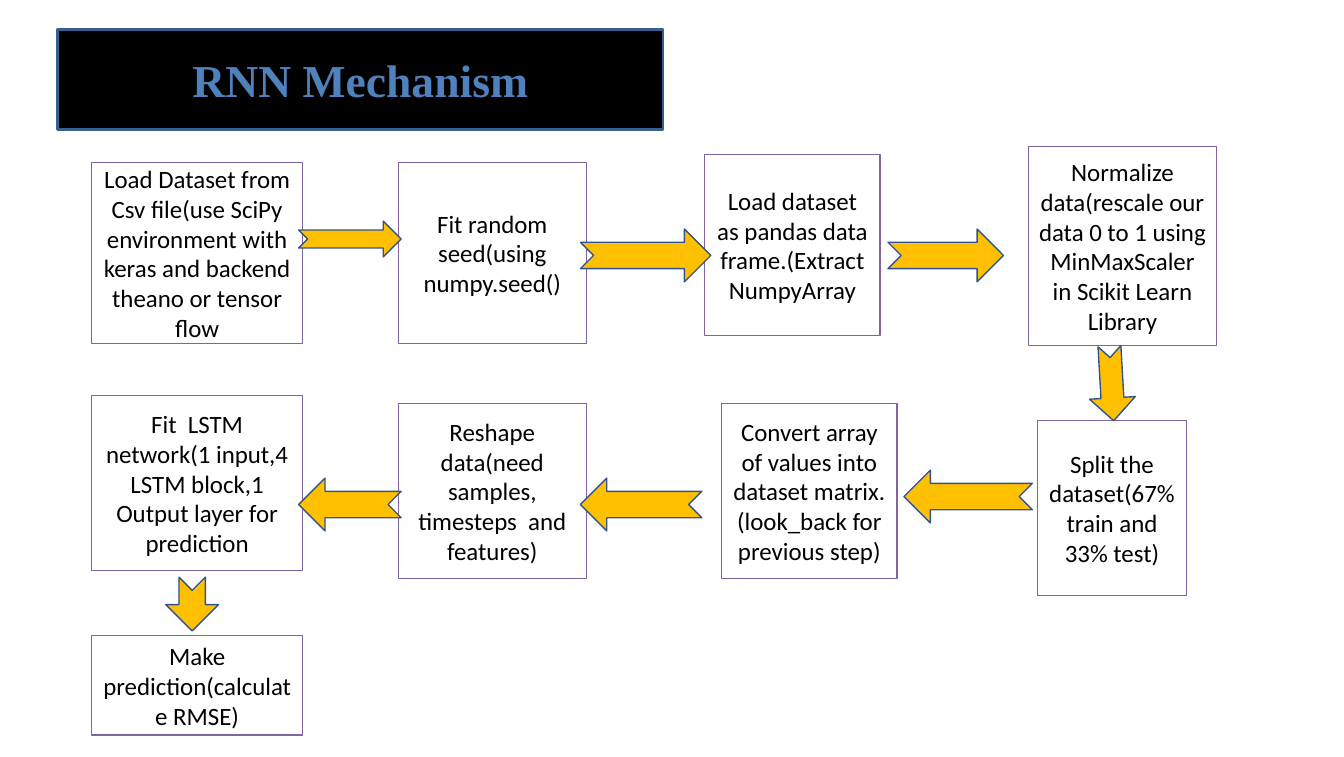
from pptx import Presentation
from pptx.dml.color import RGBColor
from pptx.enum.shapes import MSO_SHAPE
from pptx.enum.text import MSO_ANCHOR, PP_ALIGN
from pptx.util import Cm, Pt

# All lengths below are in inches and turned to Cm by size()
INCH = 2.54
PAGE = (13.5, 7.6)

# Content: text lines, column, top, height
TITLE = ["RNN Mechanism"]
TALL, LOW = 1.82, 1.76
STEPS = [
    (["Load Dataset from ",
      "Csv file(use SciPy environment with keras and backend theano or tensor flow"],
     "load", 1.63, TALL),
    (["Fit random seed(using numpy.seed()"], "seed", 1.63, TALL),
    (["Load dataset as pandas data frame.(Extract NumpyArray"], "frame", 1.55, TALL),
    (["Normalize data(rescale our data 0 to 1 using MinMaxScaler in Scikit Learn Library"],
     "scale", 1.47, 2),
    (["Split the dataset(67% train and 33% test)"], "split", 4.22, LOW),
    (["Convert array of values into dataset matrix.(look_back for previous step)"],
     "matrix", 4.05, LOW),
    (["Reshape data(need samples, timesteps  and features)"], "seed", 4.05, LOW),
    (["Fit  LSTM network(1 input,4 LSTM block,1 Output layer for prediction"],
     "load", 3.97, LOW),
    (["Make prediction(calculate RMSE)"], "load", 6.38, 1),
]

# Columns: left, width
COLS = {
    "load": (0.92, 2.12), "seed": (4, 1.89), "frame": (7.08, 1.76),
    "matrix": (7.25, 1.76), "scale": (10.33, 1.89), "split": (10.42, 1.5),
}

# Arrows: left, top, length, thickness, turn in degrees
WIDE = 0.53
ARROWS = [
    (3, 2.22, 1.03, 0.36, 0),
    (5.83, 2.3, 1.31, WIDE, 0),
    (8.92, 2.3, 1.16, WIDE, 0),
    (10.79, 3.62, 0.75, 0.46, 86.7),
    (9.08, 4.72, 1.29, WIDE, 180),
    (5.83, 4.8, 1.22, WIDE, 180),
    (3, 4.8, 1.03, WIDE, 180),
    (1.66, 5.8, 0.54, WIDE, 90),
]

THEME = {
    "box": {"fill": "FFFFFF", "line": "8064A2", "weight": 1},
    "arrow": {"fill": "FFC000", "line": "31538F", "weight": 1},
    "banner": {"fill": "000000", "line": "3A5F8C", "weight": 2},
    "body": {"font": "Calibri", "size": 18, "color": "000000"},
    "head": {"font": "Times New Roman", "size": 33, "color": "4F81BD", "bold": True},
}


def size(*spans):
    return [Cm(round(span * INCH, 4)) for span in spans]


def add_form(slide, kind, place, fill, line, weight):
    form = slide.shapes.add_shape(kind, *size(*place))
    form.shadow.inherit = False
    form.fill.solid()
    form.fill.fore_color.rgb = RGBColor.from_string(fill)
    form.line.color.rgb = RGBColor.from_string(line)
    form.line.width = Pt(weight)
    return form


def put_text(form, lines, font, size, color, bold=False):
    frame = form.text_frame
    frame.word_wrap = True
    frame.vertical_anchor = MSO_ANCHOR.MIDDLE
    for i, line in enumerate(lines):
        para = frame.add_paragraph() if i else frame.paragraphs[0]
        para.alignment = PP_ALIGN.CENTER
        run = para.add_run()
        run.text = line
        run.font.name = font
        run.font.size = Pt(size)
        run.font.bold = bold
        run.font.color.rgb = RGBColor.from_string(color)


def main():
    deck = Presentation()
    deck.slide_width, deck.slide_height = size(*PAGE)
    slide = deck.slides.add_slide(deck.slide_layouts[6])

    # Step boxes
    for lines, col, top, height in STEPS:
        left, width = COLS[col]
        box = add_form(slide, MSO_SHAPE.RECTANGLE, (left, top, width, height),
                       **THEME["box"])
        put_text(box, lines, **THEME["body"])

    # Arrows between steps
    for *place, turn in ARROWS:
        arrow = add_form(slide, MSO_SHAPE.NOTCHED_RIGHT_ARROW, place, **THEME["arrow"])
        arrow.rotation = turn

    # Title banner
    banner = add_form(slide, MSO_SHAPE.RECTANGLE, (0.58, 0.3, 6.08, 1),
                      **THEME["banner"])
    put_text(banner, TITLE, **THEME["head"])

    deck.save("out.pptx")


if __name__ == "__main__":
    main()
